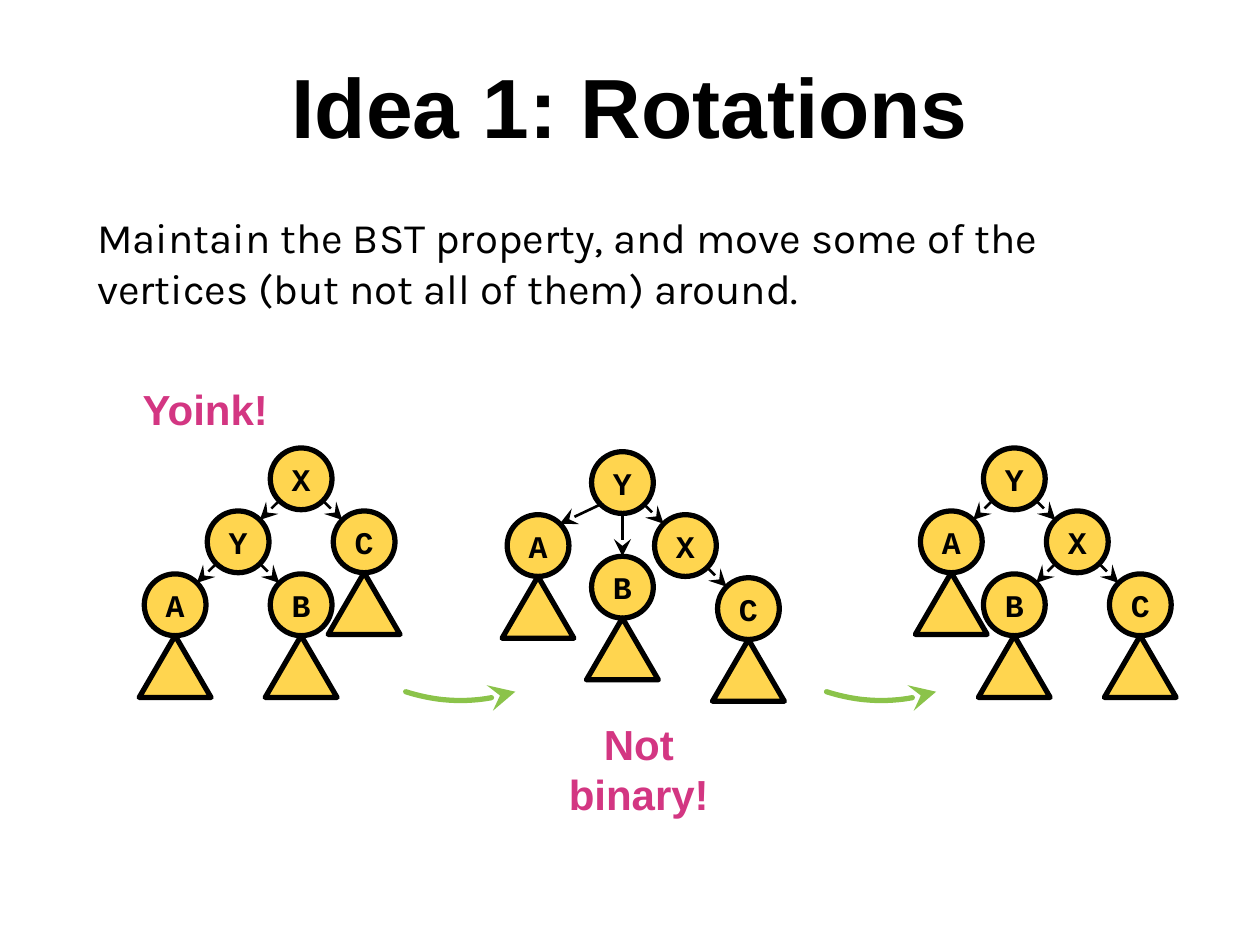
from math import copysign, sqrt

from pptx import Presentation
from pptx.dml.color import RGBColor
from pptx.enum.shapes import MSO_CONNECTOR, MSO_SHAPE
from pptx.enum.text import MSO_ANCHOR, PP_ALIGN
from pptx.oxml.ns import qn
from pptx.util import Inches, Pt
from lxml.etree import SubElement

DIAMETER = 0.49
RADIUS = DIAMETER / 2
TRIANGLE_WIDTH = 0.57

# Each tree: root centre, node offsets from the root, edges
TREES = [
    ((2.39, 3.8),
     {"X": (0, 0), "Y": (-0.5, 0.5), "A": (-1, 1), "B": (0, 1), "C": (0.5, 0.5)},
     ["XY", "YA", "YB", "XC"]),
    ((4.94, 3.83),
     {"Y": (0, 0), "A": (-0.67, 0.5), "B": (0, 0.83), "X": (0.5, 0.5), "C": (1, 1)},
     ["YA", "YB", "YX", "XC"]),
    ((8.05, 3.8),
     {"Y": (0, 0), "A": (-0.5, 0.5), "B": (0, 1), "X": (0.5, 0.5), "C": (1, 1)},
     ["YA", "YX", "XB", "XC"]),
]
SUBTREES = "ABC"


def color(value):
    return RGBColor.from_string(value)


class SlideBuilder:
    black = "000000"
    yellow = "FFD54F"
    pink = "D33682"
    green = "8BC34A"

    def __init__(self, page):
        self.page = page

    def set_text(self, box, text, size, font, ink, bold=True,
                 align=PP_ALIGN.CENTER, anchor=MSO_ANCHOR.MIDDLE):
        frame = box.text_frame
        frame.word_wrap = True
        frame.vertical_anchor = anchor
        frame.margin_left = frame.margin_right = Inches(0.1)
        frame.margin_top = frame.margin_bottom = Inches(0.1)
        frame.text = text
        para = frame.paragraphs[0]
        para.alignment = align
        para.space_before = Pt(0)
        for span in para.runs:
            span.font.size = Pt(size)
            span.font.name = font
            span.font.bold = bold
            span.font.color.rgb = color(ink)

    def place(self, box, left, top, width, height):
        box.left, box.top = Inches(left), Inches(top)
        box.width, box.height = Inches(width), Inches(height)

    def title(self, text):
        box = self.page.shapes.title
        self.place(box, 0, 0.33, 10, 1.25)
        self.set_text(box, text, 48, "Arial", self.black, anchor=MSO_ANCHOR.TOP)

    def body(self, text):
        box = self.page.placeholders[1]
        self.place(box, 0.67, 1.58, 8.67, 5.92)
        self.set_text(box, text, 24, "Karla", self.black, bold=False,
                      align=PP_ALIGN.LEFT, anchor=MSO_ANCHOR.TOP)
        settings = box.text_frame.paragraphs[0]._p.get_or_add_pPr()
        settings.set("marL", "0")
        settings.set("indent", "0")
        SubElement(settings, qn("a:buNone"))

    def callout(self, text, left, top, width):
        box = self.page.shapes.add_textbox(
            Inches(left), Inches(top), Inches(width), Inches(0.58))
        self.set_text(box, text, 24, "Arial", self.pink)

    def figure(self, kind, center_x, top, width):
        shape = self.page.shapes.add_shape(
            kind, Inches(center_x - width / 2), Inches(top),
            Inches(width), Inches(DIAMETER))
        shape.shadow.inherit = False
        shape.fill.solid()
        shape.fill.fore_color.rgb = color(self.yellow)
        shape.line.color.rgb = color(self.black)
        shape.line.width = Pt(3)
        return shape

    def node(self, label, x, y):
        circle = self.figure(MSO_SHAPE.OVAL, x, y - RADIUS, DIAMETER)
        self.set_text(circle, label, 18, "Courier New", self.black)

    def subtree(self, x, y):
        """Hang a triangle below the node centred at x, y."""
        self.figure(MSO_SHAPE.ISOSCELES_TRIANGLE, x, y + RADIUS, TRIANGLE_WIDTH)

    def arrow_line(self, line, ink, width):
        line.color.rgb = color(ink)
        line.width = Pt(width)
        SubElement(line._get_or_add_ln(), qn("a:tailEnd"),
                   type="stealth", w="lg", len="lg")

    def edge(self, parent, child):
        """Join two circles at their diagonal points, or straight down."""
        (x1, y1), (x2, y2) = parent, child
        if x1 == x2:
            dx, dy = 0, RADIUS
        else:
            dy = RADIUS / sqrt(2)
            dx = copysign(dy, x2 - x1)
        connector = self.page.shapes.add_connector(
            MSO_CONNECTOR.STRAIGHT, Inches(x1 + dx), Inches(y1 + dy),
            Inches(x2 - dx), Inches(y2 - dy))
        self.arrow_line(connector.line, self.black, 1.5)
        SubElement(connector._element.spPr, qn("a:effectLst"))

    def tree(self, root, offsets, edges):
        centers = {label: (root[0] + dx, root[1] + dy)
                   for label, (dx, dy) in offsets.items()}
        for label, center in centers.items():
            self.node(label, *center)
        for parent, child in edges:
            self.edge(centers[parent], centers[child])
        for label in SUBTREES:
            self.subtree(*centers[label])

    def step_arrow(self, left, top, width=0.87, sag=0.07, segments=24):
        """Draw a shallow curved arrow from one tree to the next."""
        points = []
        for index in range(segments + 1):
            t = index / segments
            points.append((Inches(left + width * t),
                           Inches(top + 4 * sag * t * (1 - t))))
        builder = self.page.shapes.build_freeform(*points[0])
        builder.add_line_segments(points[1:], close=False)
        curve = builder.convert_to_shape()
        curve.shadow.inherit = False
        curve.fill.background()
        self.arrow_line(curve.line, self.green, 3)
        curve.line._get_or_add_ln().set("cap", "rnd")


def main():
    deck = Presentation()
    deck.slide_width, deck.slide_height = Inches(10), Inches(7.5)
    slide = SlideBuilder(deck.slides.add_slide(deck.slide_layouts[1]))
    slide.title("Idea 1: Rotations")
    slide.body("Maintain the BST property, and move some of the vertices "
               "(but not all of them) around.")
    for root, offsets, edges in TREES:
        slide.tree(root, offsets, edges)
    slide.callout("Yoink!", 0.98, 2.95, 1.3)
    slide.callout("Not binary!", 4.11, 5.81, 1.92)
    for left in (3.22, 6.56):
        slide.step_arrow(left, 5.49)
    deck.save("out.pptx")


if __name__ == "__main__":
    main()
